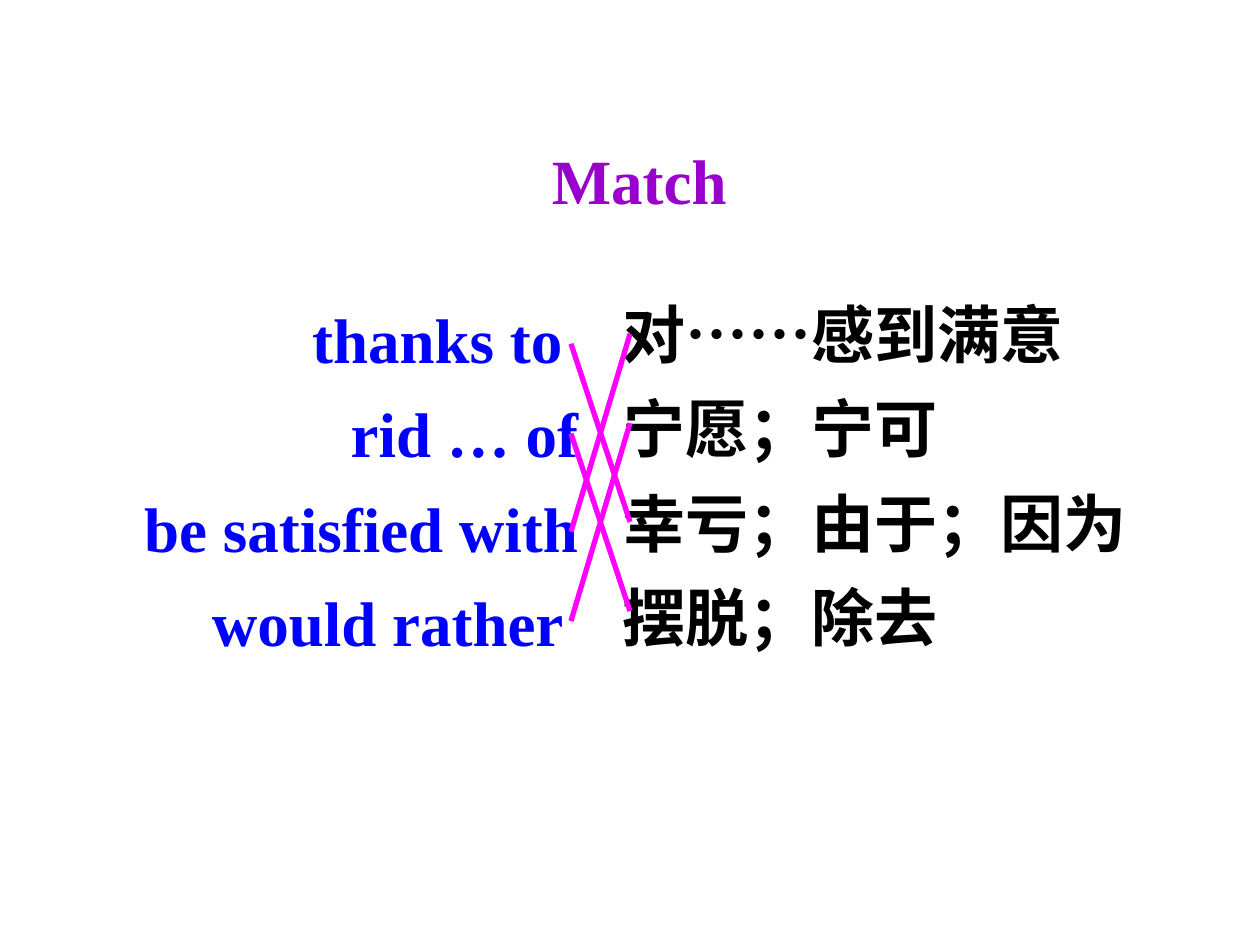
"""Build a matching exercise that pairs English phrases with Chinese meanings."""
from lxml import etree
from pptx import Presentation
from pptx import util as u
from pptx.dml.color import RGBColor
from pptx.enum import shapes, text
from pptx.oxml.ns import qn

COLORS = {"heading": "9900CC", "phrase": "0000FF", "meaning": "000000", "match": "FF00FF"}


def fill_text(holder, lines, box, color, align, spacing, indent):
    holder.left, holder.top, holder.width, holder.height = [u.Cm(v) for v in box]
    frame = holder.text_frame
    frame.text = "\n".join(lines)
    frame.auto_size = text.MSO_AUTO_SIZE.NONE
    frame.vertical_anchor = text.MSO_ANCHOR.TOP
    for paragraph in frame.paragraphs:
        paragraph.alignment = align
        paragraph.line_spacing = spacing
        paragraph.space_before = u.Pt(0)
        properties = paragraph._p.get_or_add_pPr()
        properties.set("marL", str(u.Cm(indent)))
        properties.set("indent", str(-u.Cm(indent)))
        etree.SubElement(properties, qn("a:buNone"))
        for run in paragraph.runs:
            run.font.name = "Times New Roman"
            run.font.size = u.Pt(36)
            run.font.bold = True
            run.font.color.rgb = RGBColor.from_string(COLORS[color])


deck = Presentation()
deck.slide_width, deck.slide_height = u.Cm(25.4), u.Cm(19.05)
slide = deck.slides.add_slide(deck.slide_layouts[3])
heading, phrases, meanings = slide.placeholders

fill_text(phrases, ["thanks to ", "rid … of", "be satisfied with", "would rather "],
          (1.7, 5.54, 10.21, 7.87), "phrase", text.PP_ALIGN.RIGHT, 1.25, 0.95)
fill_text(meanings, ["对……感到满意", "宁愿；宁可", "幸亏；由于；因为", "摆脱；除去"],
          (12.29, 5.44, 11.2, 9.78), "meaning", text.PP_ALIGN.LEFT, 1.25, 1.7)
fill_text(heading, ["Match"], (10.87, 2.72, 4.04, 1.78), "heading",
          text.PP_ALIGN.LEFT, 1.0, 0)
heading.text_frame.word_wrap = False

phrase_ends = [6.93, 8.74, 10.72, 12.52]
meaning_starts = [6.73, 8.53, 10.52, 12.32]
answers = [2, 3, 0, 1]
for phrase_y, answer in zip(phrase_ends, answers):
    match = slide.shapes.add_connector(
        shapes.MSO_CONNECTOR.STRAIGHT,
        u.Cm(11.51), u.Cm(phrase_y), u.Cm(12.7), u.Cm(meaning_starts[answer]))
    match.line.color.rgb = RGBColor.from_string(COLORS["match"])
    match.line.width = u.Pt(3)
    etree.SubElement(match._element.spPr, qn("a:effectLst"))

deck.save("out.pptx")
